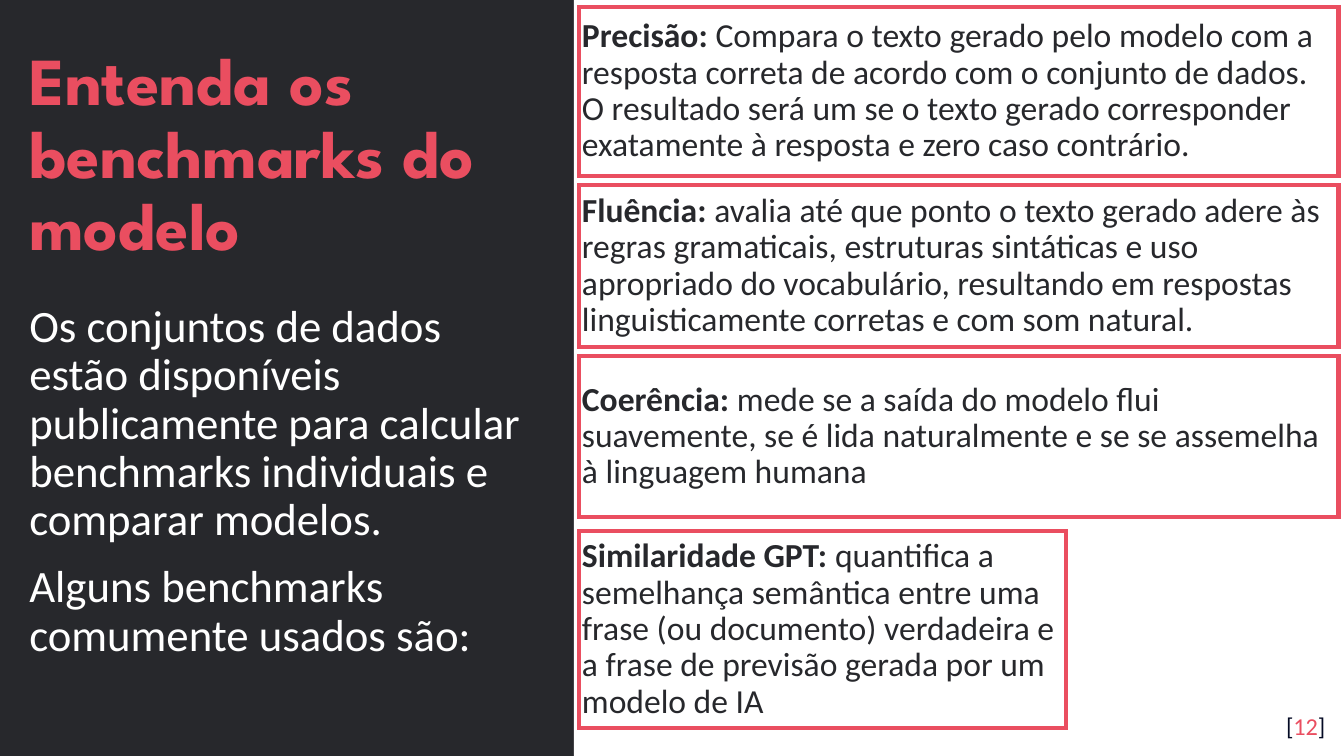
from lxml import etree
from pptx import Presentation
from pptx.dml.color import RGBColor
from pptx.enum import shapes, text
from pptx.oxml import ns
from pptx.util import Inches, Pt

DARK = RGBColor(0x27, 0x28, 0x2C)
CORAL = RGBColor(0xEA, 0x4E, 0x60)
NAVY = RGBColor(0x04, 0x0A, 0x24)
WHITE = RGBColor(0xFF, 0xFF, 0xFF)

SLIDE_WIDTH = 10
SLIDE_HEIGHT = SLIDE_WIDTH * 9 / 16

HEADING = "Entenda os benchmarks do modelo"
INTRO = [
    "Os conjuntos de dados estão disponíveis publicamente para calcular "
    "benchmarks individuais e comparar modelos.",
    "Alguns benchmarks comumente usados são:",
]
BENCHMARKS = [
    ("Precisão: ",
     "Compara o texto gerado pelo modelo com a resposta correta de acordo com "
     "o conjunto de dados. O resultado será um se o texto gerado corresponder "
     "exatamente à resposta e zero caso contrário.",
     0.05, 5.65, 1.26),
    ("Fluência: ",
     "avalia até que ponto o texto gerado adere às regras gramaticais, "
     "estruturas sintáticas e uso apropriado do vocabulário, resultando em "
     "respostas linguisticamente corretas e com som natural.",
     1.38, 5.65, 1.2),
    ("Coerência: ",
     "mede se a saída do modelo flui suavemente, se é lida naturalmente e se "
     "se assemelha à linguagem humana",
     2.65, 5.65, 1.2),
    ("Similaridade GPT: ",
     "quantifica a semelhança semântica entre uma frase (ou documento) "
     "verdadeira e a frase de previsão gerada por um modelo de IA",
     3.95, 3.62, 1.47),
]


def add_run(paragraph, words, size, color, bold=False, font="Calibri"):
    run = paragraph.add_run()
    run.text = words
    run.font.name = font
    run.font.size = Pt(size)
    run.font.bold = bold
    run.font.color.rgb = color


def add_rectangle(slide, left, top, width, height):
    rectangle = slide.shapes.add_shape(
        shapes.MSO_SHAPE.RECTANGLE,
        Inches(left), Inches(top), Inches(width), Inches(height))
    rectangle.shadow.inherit = False
    return rectangle


def add_text_frame(slide, left, top, width, height):
    frame = slide.shapes.add_textbox(
        Inches(left), Inches(top), Inches(width), Inches(height)).text_frame
    frame.word_wrap = True
    return frame


def add_introduction(slide, left, top, width):
    heading = add_text_frame(slide, left, top, width, 2.33)
    heading.vertical_anchor = text.MSO_ANCHOR.MIDDLE
    heading_line = heading.paragraphs[0]
    heading_line.line_spacing = 0.9
    add_run(heading_line, HEADING, 36, CORAL, True, "League Spartan")

    intro = add_text_frame(slide, left, top + 2.21, width, 2.79)
    for index, words in enumerate(INTRO):
        paragraph = intro.add_paragraph() if index else intro.paragraphs[0]
        paragraph.line_spacing = 0.9
        paragraph.space_before = Pt(10)
        add_run(paragraph, words, 24, WHITE)


def add_benchmark(slide, term, definition, left, top, width, height):
    card = add_rectangle(slide, left, top, width, height)
    card.fill.background()
    card.line.color.rgb = CORAL
    card.line.width = Pt(2.25)
    outline = card.element.spPr.find(ns.qn("a:ln"))
    etree.SubElement(outline, ns.qn("a:miter"), lim="800000")
    frame = card.text_frame
    frame.word_wrap = True
    frame.vertical_anchor = text.MSO_ANCHOR.MIDDLE
    frame.margin_left = frame.margin_right = Inches(0.02)
    frame.margin_top = frame.margin_bottom = Inches(0.02)
    paragraph = frame.paragraphs[0]
    paragraph.alignment = text.PP_ALIGN.LEFT
    paragraph.line_spacing = 0.9
    add_run(paragraph, term, 18, DARK, True)
    add_run(paragraph, definition, 18, DARK)


def add_benchmark_panel(slide, left, top, width, height):
    panel = add_rectangle(slide, left, top, width, height)
    panel.fill.solid()
    panel.fill.fore_color.rgb = WHITE
    panel.line.fill.background()
    for term, definition, offset, card_width, card_height in BENCHMARKS:
        add_benchmark(slide, term, definition, left + 0.04, top + offset,
                      card_width, card_height)


def add_page_number(slide, left, top, width, height):
    frame = add_text_frame(slide, left, top, width, height)
    frame.margin_top = frame.margin_bottom = Inches(0.1)
    paragraph = frame.paragraphs[0]
    paragraph.alignment = text.PP_ALIGN.RIGHT
    for words, color in (("[", NAVY), ("12", CORAL), ("]", NAVY)):
        add_run(paragraph, words, 13, color)


def main():
    deck = Presentation()
    deck.slide_width = Inches(SLIDE_WIDTH)
    deck.slide_height = Inches(SLIDE_HEIGHT)
    slide = deck.slides.add_slide(deck.slide_layouts[6])
    slide.background.fill.solid()
    slide.background.fill.fore_color.rgb = DARK
    add_benchmark_panel(slide, 4.27, 0, 5.73, SLIDE_HEIGHT)
    add_introduction(slide, 0.12, 0, 4)
    add_page_number(slide, 9.3, 5.19, 0.66, 0.43)
    deck.save("out.pptx")


if __name__ == "__main__":
    main()
